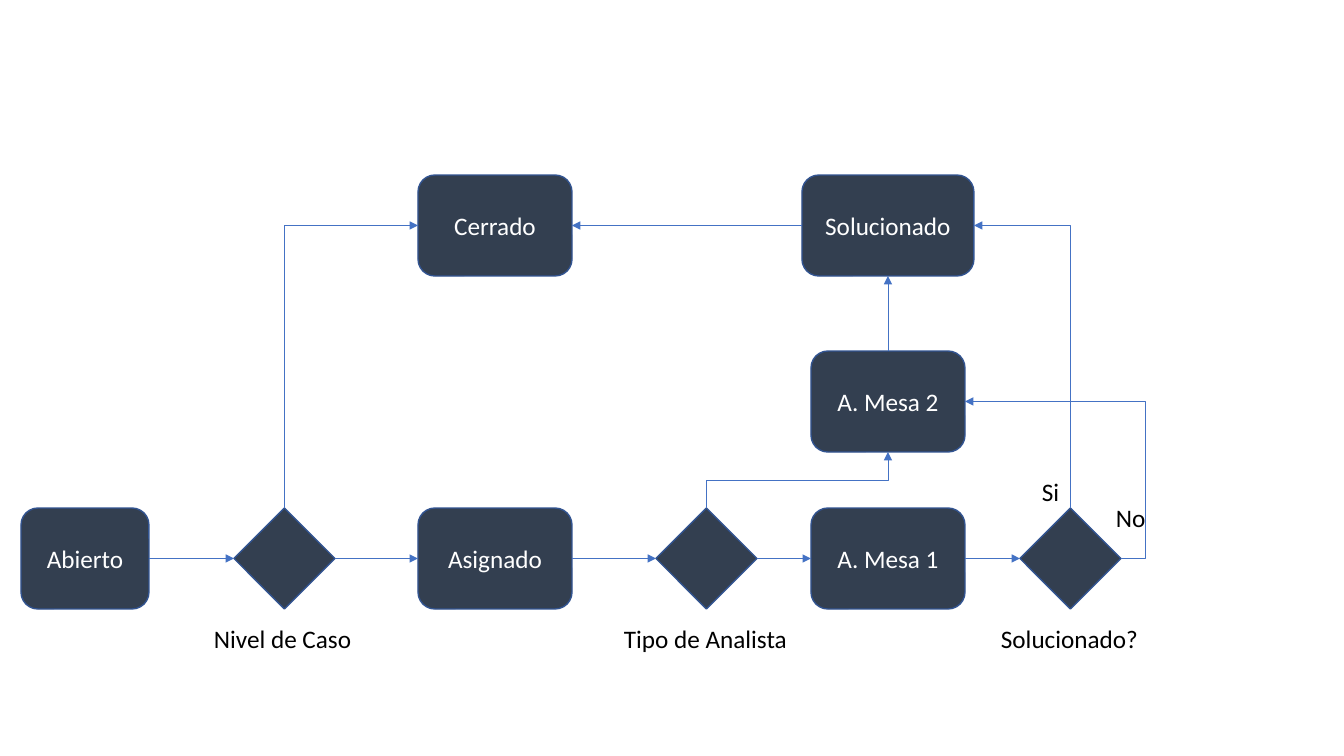
from typing import NamedTuple, Optional

from lxml.etree import SubElement
from pptx import Presentation
from pptx.dml.color import RGBColor
from pptx.enum.shapes import MSO_CONNECTOR as CONN, MSO_SHAPE as SHAPE
from pptx.enum.text import MSO_ANCHOR, MSO_AUTO_SIZE, PP_ALIGN
from pptx.oxml.ns import qn
from pptx.util import Emu, Pt

EMU_PER_PX = 914400 / 100.8
FONT, TEXT_SIZE = "Calibri", Pt(18)
COLORS = {"node": "333F50", "border": "325491", "arrow": "4472C4",
          "light": "FFFFFF", "dark": "000000"}
TOP, LEFT, BOTTOM, RIGHT = range(4)  # connection sites of boxes and diamonds
NODE_H = 101
TOP_ROW, MIDDLE_ROW, BOTTOM_ROW = 175, 351, 508
LABEL_ROW, LABEL_H = 618, 40


class Node(NamedTuple):
    """A state (box with text) or a decision (diamond without text)."""
    key: str
    x: int
    y: int
    w: int
    text: str = ""


class Label(NamedTuple):
    """A free caption."""
    text: str
    x: int
    y: int
    w: int


class Arrow(NamedTuple):
    """An arrow between two connection sites."""
    start: str
    start_site: int
    end: str
    end_site: int
    preset: str = "line"
    adjust: Optional[int] = None


NODES = [
    Node("abierto", 21, BOTTOM_ROW, 128, "Abierto"),
    Node("nivel", 234, BOTTOM_ROW, NODE_H),
    Node("asignado", 418, BOTTOM_ROW, 154, "Asignado"),
    Node("tipo", 656, BOTTOM_ROW, NODE_H),
    Node("mesa1", 811, BOTTOM_ROW, 154, "A. Mesa 1"),
    Node("resuelto", 1020, BOTTOM_ROW, NODE_H),
    Node("mesa2", 811, MIDDLE_ROW, 154, "A. Mesa 2"),
    Node("cerrado", 418, TOP_ROW, 154, "Cerrado"),
    Node("solucionado", 802, TOP_ROW, 172, "Solucionado"),
]
LABELS = [
    Label("Nivel de Caso", 204, LABEL_ROW, 159),
    Label("Tipo de Analista", 614, LABEL_ROW, 185),
    Label("Solucionado?", 991, LABEL_ROW, 159),
    Label("Si", 1032, 471, 38),
    Label("No", 1106, 497, 50),
]
MAIN_FLOW = [n.key for n in NODES if n.y == BOTTOM_ROW]
ARROWS = [Arrow(a, RIGHT, b, LEFT) for a, b in zip(MAIN_FLOW, MAIN_FLOW[1:])] + [
    Arrow("mesa2", TOP, "solucionado", BOTTOM),
    Arrow("solucionado", LEFT, "cerrado", RIGHT),
    Arrow("tipo", TOP, "mesa2", BOTTOM, "bentConnector3"),
    Arrow("resuelto", RIGHT, "mesa2", RIGHT, "bentConnector3", -16000),
    Arrow("resuelto", TOP, "solucionado", RIGHT, "bentConnector2"),
    Arrow("nivel", TOP, "cerrado", LEFT, "bentConnector2"),
]


def px(n: float) -> Emu:
    """Convert pixels to EMU."""
    return Emu(round(n * EMU_PER_PX))


def color(name: str) -> RGBColor:
    """Look up a named colour."""
    return RGBColor.from_string(COLORS[name])


def set_text(tf, text: str, color_name: str, align) -> None:
    """Write one formatted line into a text frame."""
    tf.text = text
    p = tf.paragraphs[0]
    p.alignment = align
    for r in p.runs:
        r.font.name, r.font.size = FONT, TEXT_SIZE
        r.font.color.rgb = color(color_name)


def add_node(s, node: Node):
    """Draw a state or a decision and return its shape."""
    kind = SHAPE.ROUNDED_RECTANGLE if node.text else SHAPE.DIAMOND
    sp = s.shapes.add_shape(kind, px(node.x), px(node.y), px(node.w), px(NODE_H))
    sp.shadow.inherit = False
    sp.fill.solid()
    sp.fill.fore_color.rgb = color("node")
    sp.line.color.rgb = color("border")
    sp.line.width = Pt(1)
    if node.text:
        sp.text_frame.vertical_anchor = MSO_ANCHOR.MIDDLE
        set_text(sp.text_frame, node.text, "light", PP_ALIGN.CENTER)
    return sp


def add_label(s, label: Label) -> None:
    """Draw a caption that does not wrap."""
    sp = s.shapes.add_textbox(px(label.x), px(label.y), px(label.w), px(LABEL_H))
    tf = sp.text_frame
    set_text(tf, label.text, "dark", PP_ALIGN.LEFT)
    tf.word_wrap = False
    tf.auto_size = MSO_AUTO_SIZE.SHAPE_TO_FIT_TEXT


def turn_upward(c) -> None:
    """Rotate an elbow connector so that it leaves its start upward."""
    x1, y1, x2, y2 = c.begin_x, c.begin_y, c.end_x, c.end_y
    w, h = abs(y2 - y1), abs(x2 - x1)
    c.left, c.top = Emu((x1 + x2 - w) // 2), Emu((y1 + y2 - h) // 2)
    c.width, c.height = Emu(w), Emu(h)
    rightward = x2 > x1
    xfrm = c._element.spPr.find(qn("a:xfrm"))
    xfrm.set("rot", str((90 if rightward else 270) * 60000))
    xfrm.set("flipH", "1" if rightward else "0")
    xfrm.set("flipV", "1")


def add_arrow(s, arrow: Arrow, shapes: dict) -> None:
    """Connect two nodes with an arrow."""
    bent = arrow.preset != "line"
    start, end = shapes[arrow.start], shapes[arrow.end]
    c = s.shapes.add_connector(CONN.ELBOW if bent else CONN.STRAIGHT,
                               start.left, start.top, end.left, end.top)
    c.begin_connect(start, arrow.start_site)
    c.end_connect(end, arrow.end_site)
    c.line.color.rgb = color("arrow")
    c.line.width = Pt(0.5)
    SubElement(c.line._get_or_add_ln(), qn("a:tailEnd"), type="triangle")
    sp_pr = c._element.spPr
    SubElement(sp_pr, qn("a:effectLst"))
    if bent:
        geom = sp_pr.find(qn("a:prstGeom"))
        geom.set("prst", arrow.preset)
        if arrow.adjust is not None:
            SubElement(geom.get_or_add_avLst(), qn("a:gd"),
                       name="adj1", fmla=f"val {arrow.adjust}")
        if arrow.start_site == TOP:
            turn_upward(c)


def main() -> None:
    """Build the case flow slide."""
    prs = Presentation()
    prs.slide_width, prs.slide_height = px(1344), px(756)
    s = prs.slides.add_slide(prs.slide_layouts[6])
    shapes = {node.key: add_node(s, node) for node in NODES}
    for label in LABELS:
        add_label(s, label)
    for arrow in ARROWS:
        add_arrow(s, arrow, shapes)
    prs.save("out.pptx")


main()
